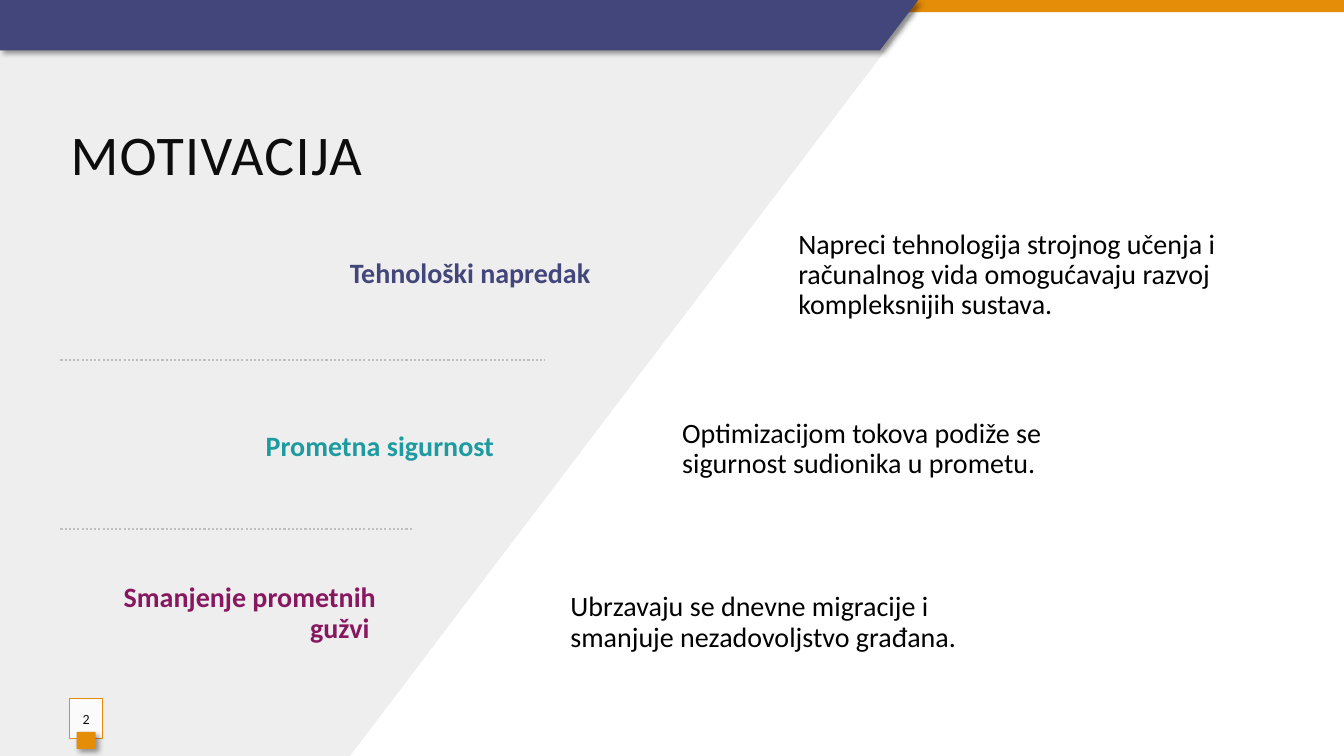
from pptx import Presentation
from pptx import util as u
from pptx.dml import color
from pptx.enum import dml, shapes, text
from pptx.oxml import ns
from lxml import etree

FONT = "Calibri"
INK, BLACK, WHITE = "0D0D0D", "000000", "FFFFFF"
INDIGO, TEAL, PLUM, ORANGE = "43467B", "1D9BA1", "87175F", "E58C09"
PALE, DOTS = "EEEEEE", "BFBFBF"
LEFT, CENTER, RIGHT = text.PP_ALIGN.LEFT, text.PP_ALIGN.CENTER, text.PP_ALIGN.RIGHT
MIDDLE, BOTTOM = text.MSO_ANCHOR.MIDDLE, text.MSO_ANCHOR.BOTTOM


def rgb(value):
    return color.RGBColor.from_string(value)


def child(parent, tag, **attributes):
    """Append a DrawingML element to parent."""
    return etree.SubElement(parent, ns.qn("a:" + tag), attributes)


class SlideBuilder:
    """Holds the style and the current page."""

    def __init__(self, page):
        self.page = page

    def paint(self, shape, fill, line=None, opacity=None, shadow=False):
        shape.shadow.inherit = False
        shape.fill.solid()
        shape.fill.fore_color.rgb = rgb(fill)
        if opacity:
            tone = next(shape.element.spPr.iter(ns.qn("a:srgbClr")))
            child(tone, "alpha", val=str(opacity * 1000))
        if line:
            shape.line.color.rgb = rgb(line)
            shape.line.width = u.Pt(0.75)
        else:
            shape.line.fill.background()
        if shadow:
            effects = shape.element.spPr.find(ns.qn("a:effectLst"))
            cast = child(effects, "outerShdw", blurRad=str(u.Pt(4)), dist=str(u.Pt(3)),
                         dir="2700000", algn="tl", rotWithShape="0")
            child(child(cast, "srgbClr", val=BLACK), "alpha", val="40000")
        return shape

    def rectangle(self, left, top, width, height, fill, **style):
        shape = self.page.shapes.add_shape(
            shapes.MSO_SHAPE.RECTANGLE, *map(u.Pt, (left, top, width, height)))
        return self.paint(shape, fill, **style)

    def polygon(self, points, fill, **style):
        corners = [(u.Pt(x), u.Pt(y)) for x, y in points]
        builder = self.page.shapes.build_freeform(*corners[0])
        builder.add_line_segments(corners[1:], close=True)
        return self.paint(builder.convert_to_shape(), fill, **style)

    def dotted_line(self, left, right, y):
        line = self.page.shapes.add_connector(
            shapes.MSO_CONNECTOR.STRAIGHT, *map(u.Pt, (left, y, right, y)))
        line.line.color.rgb = rgb(DOTS)
        line.line.width = u.Pt(1.5)
        line.line.dash_style = dml.MSO_LINE.ROUND_DOT
        child(line.element.spPr, "effectLst")

    def placeholder(self, index, left, top, width, height):
        """Move a placeholder into place and in front of the backdrop."""
        box = self.page.placeholders[index]
        box.left, box.top, box.width, box.height = map(u.Pt, (left, top, width, height))
        box.element.getparent().append(box.element)
        return box

    def text_box(self, left, top, width, height):
        return self.page.shapes.add_textbox(*map(u.Pt, (left, top, width, height)))

    def set_text(self, box, words, size, tone, align=LEFT, anchor=MIDDLE,
                 bold=False, spacing=1.0, after=0, tracking=0):
        frame = box.text_frame
        frame.word_wrap = True
        frame.auto_size = text.MSO_AUTO_SIZE.NONE
        frame.vertical_anchor = anchor
        para = frame.paragraphs[0]
        properties = para._p.get_or_add_pPr()
        properties.set("marL", "0")
        properties.set("indent", "0")
        child(properties, "buNone")
        para.alignment = align
        para.line_spacing = spacing
        para.space_before = u.Pt(0)
        para.space_after = u.Pt(after)
        span = para.add_run()
        span.text = words
        span.font.name = FONT
        span.font.size = u.Pt(size)
        span.font.bold = bold
        span.font.color.rgb = rgb(tone)
        if tracking:
            span._r.get_or_add_rPr().set("spc", str(tracking * 100))
        return frame

    def body(self, box, words, tone, **style):
        self.set_text(box, words, 20, tone, spacing=0.9, after=2, **style)


def main():
    deck = Presentation()
    deck.slide_width, deck.slide_height = u.Pt(960), u.Pt(540)
    page = deck.slides.add_slide(deck.slide_layouts.get_by_name("Comparison"))
    builder = SlideBuilder(page)

    builder.polygon([(0, 0), (656, 0), (656, 5), (250, 540), (0, 540)], PALE)
    builder.rectangle(0, 0, 960, 8.64, ORANGE)
    builder.polygon([(0, 0), (656, 0), (628.5, 36), (0, 36)], INDIGO, shadow=True)

    title = builder.placeholder(0, 43.2, 77.76, 851, 55.44)
    frame = builder.set_text(title, "MOTIVACIJA", 40, INK, anchor=BOTTOM, tracking=1)
    frame.margin_bottom = 0

    labels = [
        ("Tehnološki napredak", INDIGO, 49, 179.3, 380),
        ("Prometna sigurnost", TEAL, 43.2, 303, 317),
        ("Smanjenje prometnih gužvi ", PLUM, 43.2, 422, 232.5),
    ]
    for index, (words, tone, left, top, width) in enumerate(labels, start=2):
        box = builder.placeholder(index, left, top, width, 33)
        builder.body(box, words, tone, align=RIGHT, bold=True)

    reasons = [
        "Napreci tehnologija strojnog učenja i računalnog vida omogućavaju razvoj "
        "kompleksnijih sustava.",
        "Optimizacijom tokova podiže se sigurnost sudionika u prometu.",
        "Ubrzavaju se dnevne migracije i smanjuje nezadovoljstvo građana.",
    ]
    for row, (words, left) in enumerate(zip(reasons, (563, 480.2, 400.3))):
        place = (left, 160.6 + 124.2 * row, 340, 72)
        box = builder.text_box(*place) if row else builder.placeholder(1, *place)
        builder.body(box, words, BLACK)

    for right, y in ((388.8, 257), (295.2, 378)):
        builder.dotted_line(43.2, right, y)

    number = builder.rectangle(49.7, 499, 23.8, 28.8, WHITE, line=ORANGE, opacity=82)
    frame = builder.set_text(number, "2", 10, INK, align=CENTER)
    frame.margin_left = frame.margin_right = 0
    builder.rectangle(54.7, 522.7, 13.7, 12.2, ORANGE, shadow=True)

    deck.save("out.pptx")


if __name__ == "__main__":
    main()
